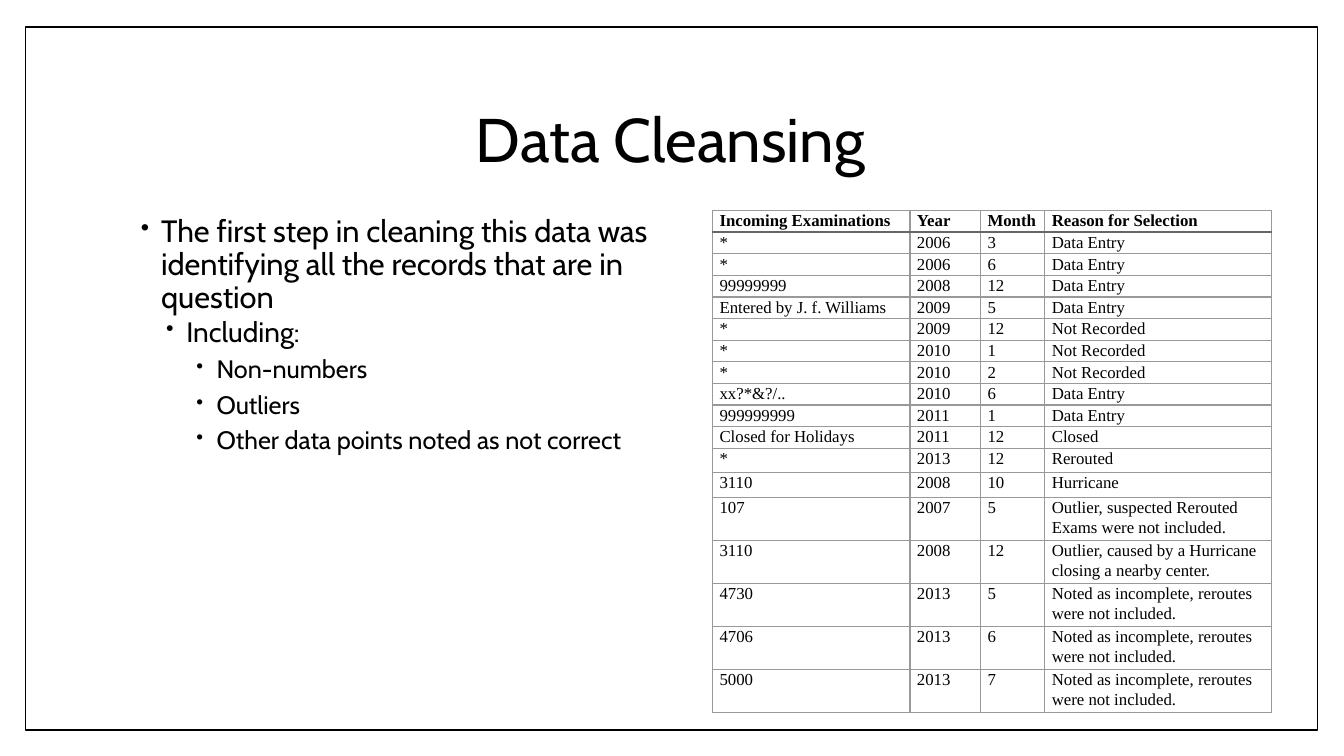
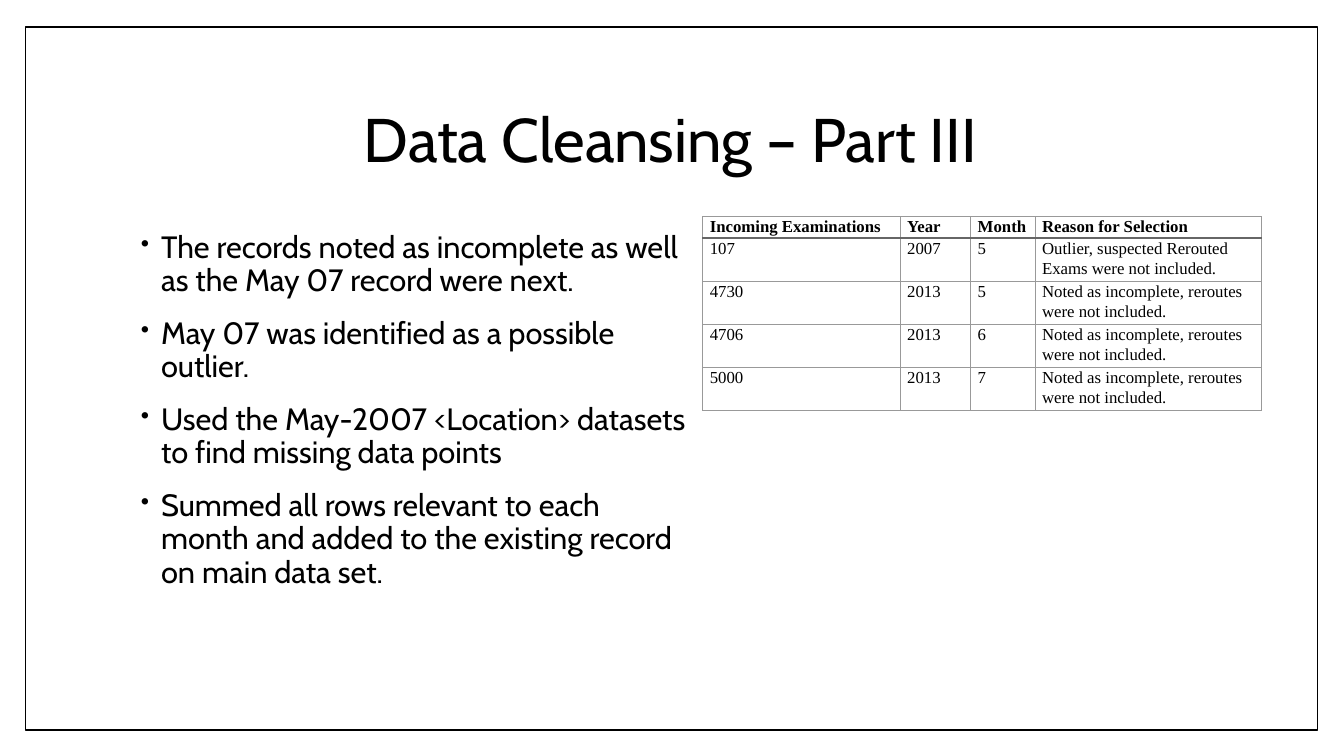
from lxml import etree
from pptx import Presentation
from pptx.dml.color import RGBColor
from pptx.enum.shapes import MSO_SHAPE
from pptx.enum.text import MSO_ANCHOR, PP_ALIGN
from pptx.oxml.ns import qn
from pptx.util import Pt

RECTANGLE = MSO_SHAPE.RECTANGLE
MIDDLE = MSO_ANCHOR.MIDDLE
TOP = MSO_ANCHOR.TOP
CENTER = PP_ALIGN.CENTER
LEFT = PP_ALIGN.LEFT

COLORS = {"paper": "FFFFFF", "ink": "000000", "grid": "999999", "rule": "666666"}

TITLE = {"font": {"name": "Cabin", "size": Pt(44)},
         "para": {"alignment": CENTER, "line_spacing": 0.9}}
LEVELS = [
    {"indent": 18, "size": 22, "before": 14, "after": 0},
    {"indent": 36, "size": 20, "before": 2, "after": 4},
    {"indent": 57.6, "size": 18, "before": 2, "after": 4},
]
HANG = 14.4
CELL_FONT = {"name": "Times New Roman", "size": Pt(12)}
CELL_MARGINS = {"margin_left": Pt(5), "margin_right": Pt(5),
                "margin_top": 0, "margin_bottom": 0, "vertical_anchor": TOP}
COLUMN_WIDTHS = [141, 50.4, 46, 162]
ONE_LINE, ROOMY, TWO_LINES = 14.25, 17.5, 28.5

HEADER = ("Incoming Examinations", "Year", "Month", "Reason for Selection")
INCOMPLETE = "Noted as incomplete, reroutes were not included."
MAY_OUTLIER = ("107", "2007", "5", "Outlier, suspected Rerouted Exams were not included.")
INCOMPLETE_ROWS = [
    ("4730", "2013", "5", INCOMPLETE),
    ("4706", "2013", "6", INCOMPLETE),
    ("5000", "2013", "7", INCOMPLETE),
]
SUSPECT_ROWS = [
    HEADER,
    ("*", "2006", "3", "Data Entry"),
    ("*", "2006", "6", "Data Entry"),
    ("99999999", "2008", "12", "Data Entry"),
    ("Entered by J. f. Williams", "2009", "5", "Data Entry"),
    ("*", "2009", "12", "Not Recorded"),
    ("*", "2010", "1", "Not Recorded"),
    ("*", "2010", "2", "Not Recorded"),
    ("xx?*&?/..", "2010", "6", "Data Entry"),
    ("999999999", "2011", "1", "Data Entry"),
    ("Closed for Holidays", "2011", "12", "Closed"),
    ("*", "2013", "12", "Rerouted"),
    ("3110", "2008", "10", "Hurricane"),
    MAY_OUTLIER,
    ("3110", "2008", "12", "Outlier, caused by a Hurricane closing a nearby center."),
    *INCOMPLETE_ROWS,
]
SUSPECT_HEIGHTS = [ONE_LINE] * 11 + [ROOMY] * 2 + [TWO_LINES] * 5
FOLLOW_UP_ROWS = [HEADER, MAY_OUTLIER, *INCOMPLETE_ROWS]
FOLLOW_UP_HEIGHTS = [ONE_LINE] + [TWO_LINES] * 4

CLEANSING_POINTS = [
    (0, "The first step in cleaning this data was identifying all the records that are in question"),
    (1, "Including:"),
    (2, "Non-numbers"),
    (2, "Outliers"),
    (2, "Other data points noted as not correct"),
]
FOLLOW_UP_POINTS = [
    (0, "The records noted as incomplete as well as the May 07 record were next."),
    (0, "May 07 was identified as a possible outlier."),
    (0, "Used the May-2007 <Location> datasets to find missing data points"),
    (0, "Summed all rows relevant to each month and added to the existing record on main data set."),
]


def color(name):
    """Return the named colour."""
    return RGBColor.from_string(COLORS[name])


def apply(target, values):
    """Set each named value on the target."""
    for name, value in values.items():
        setattr(target, name, value)


def add_element(parent, tag, **attributes):
    """Append a drawing element to its parent."""
    return etree.SubElement(parent, qn(tag), attributes)


class Deck:
    """Hold the shared style and the current slide."""

    def __init__(self):
        """Start an empty widescreen deck."""
        self.deck = Presentation()
        apply(self.deck, {"slide_width": Pt(960), "slide_height": Pt(540)})
        self.page = None

    def add_page(self, title):
        """Add a framed slide with a centred title."""
        self.page = self.deck.slides.add_slide(self.deck.slide_layouts[6])
        frame = self.page.shapes.add_shape(RECTANGLE, Pt(18), Pt(19.4), Pt(923), Pt(502))
        frame.shadow.inherit = False
        frame.fill.solid()
        frame.fill.fore_color.rgb = color("paper")
        frame.line.color.rgb = color("ink")
        frame.line.width = Pt(1)
        text = self.add_box(90, 48.2, 778, 106.6, MIDDLE)
        self.add_span(text.paragraphs[0], title, TITLE["para"], TITLE["font"])

    def add_box(self, left, top, width, height, anchor):
        """Add a wrapping text box and return its text frame."""
        box = self.page.shapes.add_textbox(Pt(left), Pt(top), Pt(width), Pt(height))
        apply(box.text_frame, {"word_wrap": True, "vertical_anchor": anchor})
        return box.text_frame

    def add_span(self, para, text, layout, font):
        """Add one formatted run to a paragraph."""
        apply(para, layout)
        span = para.add_run()
        span.text = text
        apply(span.font, font)
        span.font.color.rgb = color("ink")

    def add_bullets(self, left, top, width, height, points):
        """Add a list of levelled bullet points."""
        text = self.add_box(left, top, width, height, TOP)
        for index, (level, words) in enumerate(points):
            style = LEVELS[level]
            para = text.paragraphs[0] if index == 0 else text.add_paragraph()
            properties = para._p.get_or_add_pPr()
            properties.set("marL", str(Pt(style["indent"])))
            properties.set("indent", str(-Pt(HANG)))
            bullet_color = add_element(properties, "a:buClr")
            add_element(bullet_color, "a:srgbClr", val=COLORS["ink"])
            add_element(properties, "a:buSzPct", val="80000")
            add_element(properties, "a:buChar", char="•")
            layout = {"level": level, "alignment": LEFT, "line_spacing": 0.9,
                      "space_before": Pt(style["before"] if index else 0),
                      "space_after": Pt(style["after"])}
            self.add_span(para, words, layout, {"name": "Cabin", "size": Pt(style["size"])})

    def add_table(self, left, top, rows, heights):
        """Add a ruled table with a bold header row."""
        frame = self.page.shapes.add_table(
            len(rows), len(COLUMN_WIDTHS), Pt(left), Pt(top),
            Pt(sum(COLUMN_WIDTHS)), Pt(sum(heights)))
        table = frame.table
        apply(table, {"first_row": False, "horz_banding": False})
        for column, width in zip(table.columns, COLUMN_WIDTHS):
            column.width = Pt(width)
        for index, (row, height, values) in enumerate(zip(table.rows, heights, rows)):
            row.height = Pt(height)
            for cell, value in zip(row.cells, values):
                apply(cell, CELL_MARGINS)
                self.add_span(cell.text_frame.paragraphs[0], value, {"line_spacing": 1.07},
                              {**CELL_FONT, "bold": index == 0})
                self.add_borders(cell, index)
                cell.fill.solid()
                cell.fill.fore_color.rgb = color("paper")

    def add_borders(self, cell, index):
        """Rule a cell, with a heavier line under the header."""
        heavy = {0: "a:lnB", 1: "a:lnT"}.get(index)
        properties = cell._tc.get_or_add_tcPr()
        for side in ("a:lnL", "a:lnR", "a:lnT", "a:lnB"):
            name, width = ("rule", 1.5) if side == heavy else ("grid", 1)
            line = add_element(properties, side, w=str(Pt(width)))
            fill = add_element(line, "a:solidFill")
            add_element(fill, "a:srgbClr", val=COLORS[name])

    def save(self):
        """Save the finished deck."""
        self.deck.save("out.pptx")


def main():
    """Build both slides."""
    deck = Deck()
    deck.add_page("Data Cleansing")
    deck.add_bullets(90, 150.5, 419, 330, CLEANSING_POINTS)
    deck.add_table(509, 150.5, SUSPECT_ROWS, SUSPECT_HEIGHTS)
    deck.add_page("Data Cleansing – Part III")
    deck.add_bullets(90, 162, 412, 318, FOLLOW_UP_POINTS)
    deck.add_table(502, 154.8, FOLLOW_UP_ROWS, FOLLOW_UP_HEIGHTS)
    deck.save()


if __name__ == "__main__":
    main()
